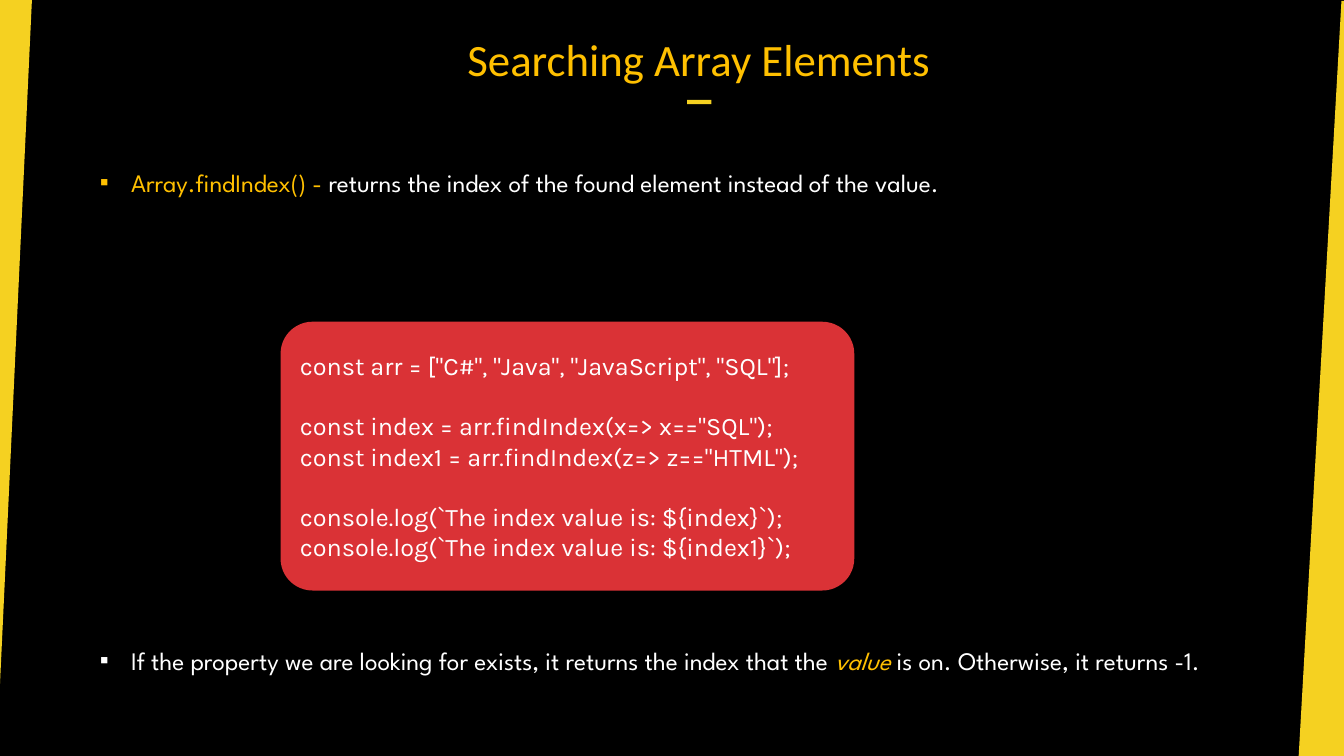
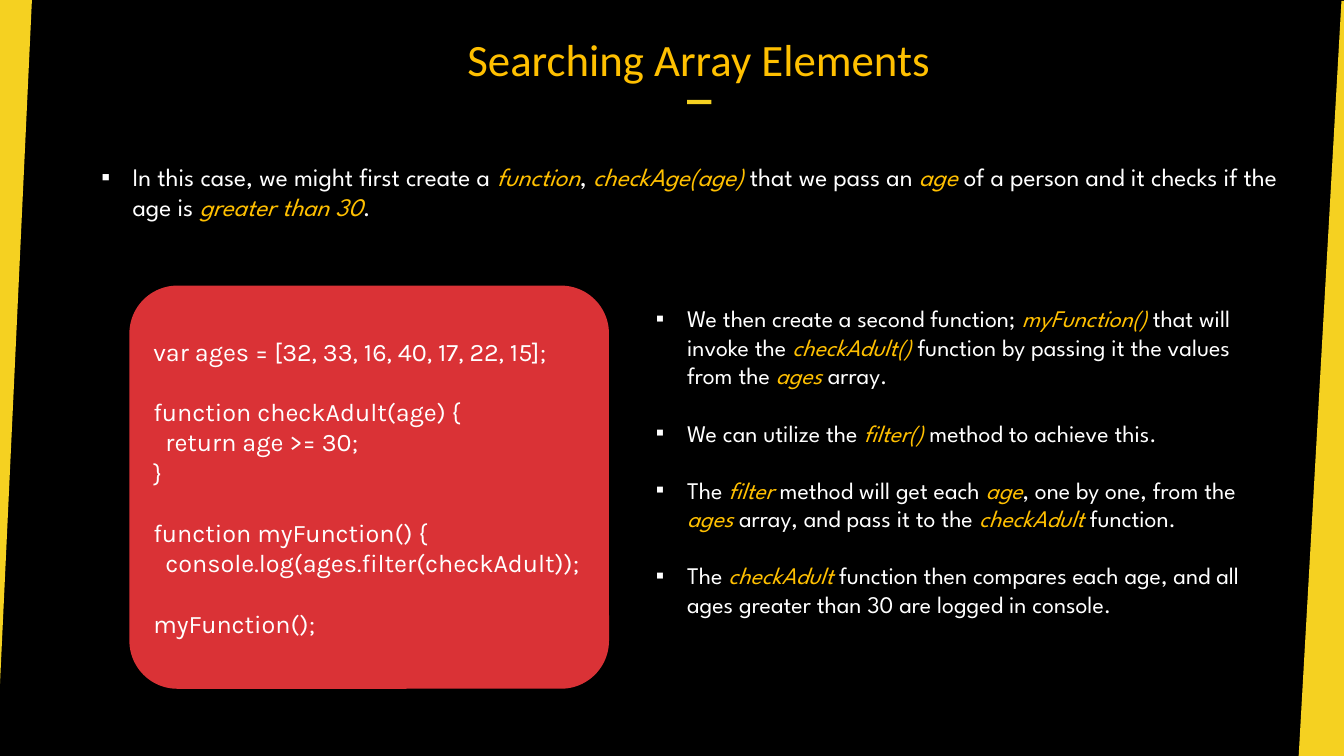
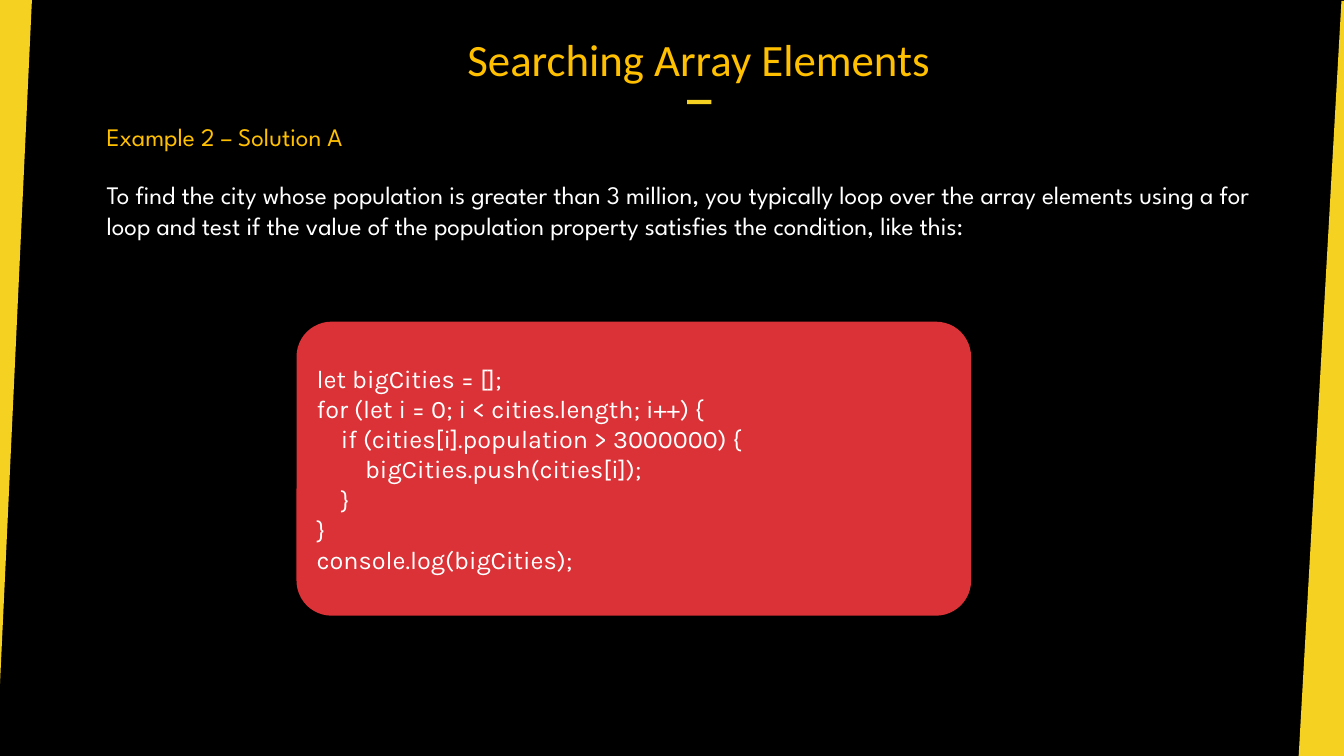
from pptx import Presentation
from pptx.dml.color import RGBColor
from pptx.enum.shapes import MSO_SHAPE
from pptx.enum.text import MSO_ANCHOR, MSO_AUTO_SIZE, PP_ALIGN
from pptx.oxml.ns import qn
from pptx.util import Inches, Pt
from lxml import etree

RECT, ROUNDED = MSO_SHAPE.RECTANGLE, MSO_SHAPE.ROUNDED_RECTANGLE
TOP, MIDDLE, BOTTOM = MSO_ANCHOR.TOP, MSO_ANCHOR.MIDDLE, MSO_ANCHOR.BOTTOM
LEFT, CENTER = PP_ALIGN.LEFT, PP_ALIGN.CENTER
GROW, FIXED = MSO_AUTO_SIZE.SHAPE_TO_FIT_TEXT, MSO_AUTO_SIZE.NONE

COLUMNS, ROWS = 160, 90
WIDTH, HEIGHT = Inches(13.33), Inches(7.5)


def color(hex_value):
    return RGBColor.from_string(hex_value)


class Deck:
    """Holds the shared style and the slide being built."""

    BLACK, WHITE = "000000", "FFFFFF"
    YELLOW, AMBER, RED = "F5D121", "FFC000", "DA3236"
    TITLE_FONT, BODY_FONT, CODE_FONT = "Calibri", "League Spartan", "Karla"
    BULLET_INDENT = Inches(0.31)
    CODE_SPACE = Inches(0.06)  # indent for one leading space of code
    LINE = 1.2  # height of one line, as a share of the text size
    LEFT_WEDGE = [(-0.6, 0), (3.8, 0), (-0.4, 90), (-0.6, 90)]
    RIGHT_WEDGE = [(159.7, 0.1), (160, 0.1), (160, 90.1), (154.6, 90.1)]

    def __init__(self):
        self.presentation = Presentation()
        self.presentation.slide_width = WIDTH
        self.presentation.slide_height = HEIGHT
        self.slide = None

    def x(self, columns):
        return round(WIDTH * columns / COLUMNS)

    def y(self, rows):
        return round(HEIGHT * rows / ROWS)

    def box(self, left, top, width, height):
        return self.x(left), self.y(top), self.x(width), self.y(height)

    # Slide frame
    def new_slide(self, title):
        self.slide = self.presentation.slides.add_slide(self.presentation.slide_layouts[6])
        backdrop = self.slide.background.fill
        backdrop.solid()
        backdrop.fore_color.rgb = color(self.BLACK)
        self.wedge(self.LEFT_WEDGE)
        self.wedge(self.RIGHT_WEDGE)
        self.shape(RECT, (81.8, 11.9, 2.9, 0.5), self.YELLOW)
        self.title(title)

    def paint(self, shape, fill):
        shape.shadow.inherit = False
        shape.fill.solid()
        shape.fill.fore_color.rgb = color(fill)
        shape.line.fill.background()

    def wedge(self, corners):
        start, *others = [(self.x(column), self.y(row)) for column, row in corners]
        builder = self.slide.shapes.build_freeform(*start)
        builder.add_line_segments(others, close=True)
        self.paint(builder.convert_to_shape(), self.YELLOW)

    def shape(self, preset, place, fill):
        shape = self.slide.shapes.add_shape(preset, *self.box(*place))
        self.paint(shape, fill)
        return shape

    # Text
    def frame(self, shape, **settings):
        frame = shape.text_frame
        for name, value in {"word_wrap": True, "vertical_anchor": TOP, **settings}.items():
            setattr(frame, name, value)
        return frame

    def text_box(self, place, **settings):
        return self.frame(self.slide.shapes.add_textbox(*self.box(*place)), **settings)

    def paragraph(self, frame, first, **settings):
        paragraph = frame.paragraphs[0] if first else frame.add_paragraph()
        for name, value in {"alignment": LEFT, **settings}.items():
            setattr(paragraph, name, value)
        return paragraph

    def run(self, paragraph, text, font, size, ink, italic=False):
        run = paragraph.add_run()
        run.text = text
        for name, value in {"name": font, "size": Pt(size), "italic": italic}.items():
            setattr(run.font, name, value)
        run.font.color.rgb = color(ink)

    def title(self, text):
        frame = self.text_box((41.3, 1.2, 83.8, 9), vertical_anchor=BOTTOM, auto_size=FIXED,
                              margin_top=Inches(0.04), margin_bottom=0)
        heading = self.paragraph(frame, True, alignment=CENTER)
        self.run(heading, text, self.TITLE_FONT, 32, self.AMBER)

    def body(self, place, *texts, size=18, bullets=True, italic=True):
        """Writes paragraphs; parts between asterisks are highlighted."""
        frame = self.text_box(place, auto_size=GROW)
        for index, text in enumerate(texts):
            gap = Pt(size * self.LINE) if index else 0
            paragraph = self.paragraph(frame, index == 0, space_before=gap)
            if bullets:
                self.bullet(paragraph)
            for part, words in enumerate(text.split("*")):
                marked = part % 2 == 1
                if words:
                    self.run(paragraph, words, self.BODY_FONT, size,
                             self.AMBER if marked else self.WHITE, marked and italic)

    def bullet(self, paragraph):
        properties = paragraph._p.get_or_add_pPr()
        properties.set("marL", str(self.BULLET_INDENT))
        properties.set("indent", str(-self.BULLET_INDENT))
        etree.SubElement(properties, qn("a:buFont")).set("typeface", "Arial")
        etree.SubElement(properties, qn("a:buChar")).set("char", "▪")

    def code(self, place, source, size=18):
        """Blank lines become paragraph gaps, leading spaces become indents."""
        card = self.shape(ROUNDED, place, self.RED)
        card.adjustments[0] = 0.119
        frame = self.frame(card, vertical_anchor=MIDDLE)
        gap = first = True
        for line in source.strip().split("\n"):
            if not line:
                gap = True
                continue
            space = Pt(size * self.LINE) if gap and not first else 0
            paragraph = self.paragraph(frame, first, space_before=space)
            statement = line.lstrip()
            indent = (len(line) - len(statement)) * self.CODE_SPACE
            paragraph._p.get_or_add_pPr().set("marL", str(indent))
            self.run(paragraph, statement, self.CODE_FONT, size, self.WHITE)
            gap = first = False


TITLE = "Searching Array Elements"

FIND_INDEX_CODE = """
const arr = ["C#", "Java", "JavaScript", "SQL"];

const index = arr.findIndex(x=> x=="SQL");
const index1 = arr.findIndex(z=> z=="HTML");

console.log(`The index value is: ${index}`);
console.log(`The index value is: ${index1}`);
"""

FILTER_CODE = """
var ages = [32, 33, 16, 40, 17, 22, 15];

function checkAdult(age) {
  return age >= 30;
}

function myFunction() {
  console.log(ages.filter(checkAdult));

myFunction();
"""

CITIES_CODE = """
let bigCities = [];
for (let i = 0; i < cities.length; i++) {
    if (cities[i].population > 3000000) {
        bigCities.push(cities[i]);
    }
}
console.log(bigCities);
"""


def main():
    deck = Deck()

    # findIndex
    deck.new_slide(TITLE)
    deck.body((10.7, 19.3, 139.6, 4.8),
              "*Array.findIndex() - *returns the index of the found element instead of the value.",
              italic=False)
    deck.code((33.4, 38.3, 68.3, 32), FIND_INDEX_CODE)
    deck.body((10.7, 76.2, 143, 8.5),
              "If the property we are looking for exists, it returns the index that the "
              "*value *is on. Otherwise, it returns -1.")

    # filter
    deck.new_slide(TITLE)
    deck.body((10.9, 18.6, 144.5, 8.5),
              "In this case, we might first create a *function*, *checkAge(age)* that we pass an "
              "*age* of a person and it checks if the age is *greater than 30*.")
    deck.code((15.4, 34, 57.1, 48), FILTER_CODE)
    deck.body((76.9, 35.6, 73.8, 45.8),
              "We then create a second function; *myFunction() *that will invoke the "
              "*checkAdult() *function by passing it the values from the *ages* array.",
              "We can utilize the *filter()* method to achieve this.",
              "The *filter* method will get each *age*, one by one, from the *ages* array, "
              "and pass it to the *checkAdult* function.",
              "The *checkAdult* function then compares each age, and all ages greater than 30 "
              "are logged in console.",
              size=17)

    # Loop over cities
    deck.new_slide(TITLE)
    deck.body((11.5, 20.8, 141.5, 15.7),
              "To find the city whose population is greater than 3 million, you typically loop "
              "over the array elements using a for loop and test if the value of the population "
              "property satisfies the condition, like this:",
              bullets=False)
    deck.body((11.5, 13.8, 62.3, 4.8), "*Example 2 – Solution A*", bullets=False, italic=False)
    deck.code((35.3, 38.3, 80.3, 35), CITIES_CODE)

    deck.presentation.save("out.pptx")


if __name__ == "__main__":
    main()
